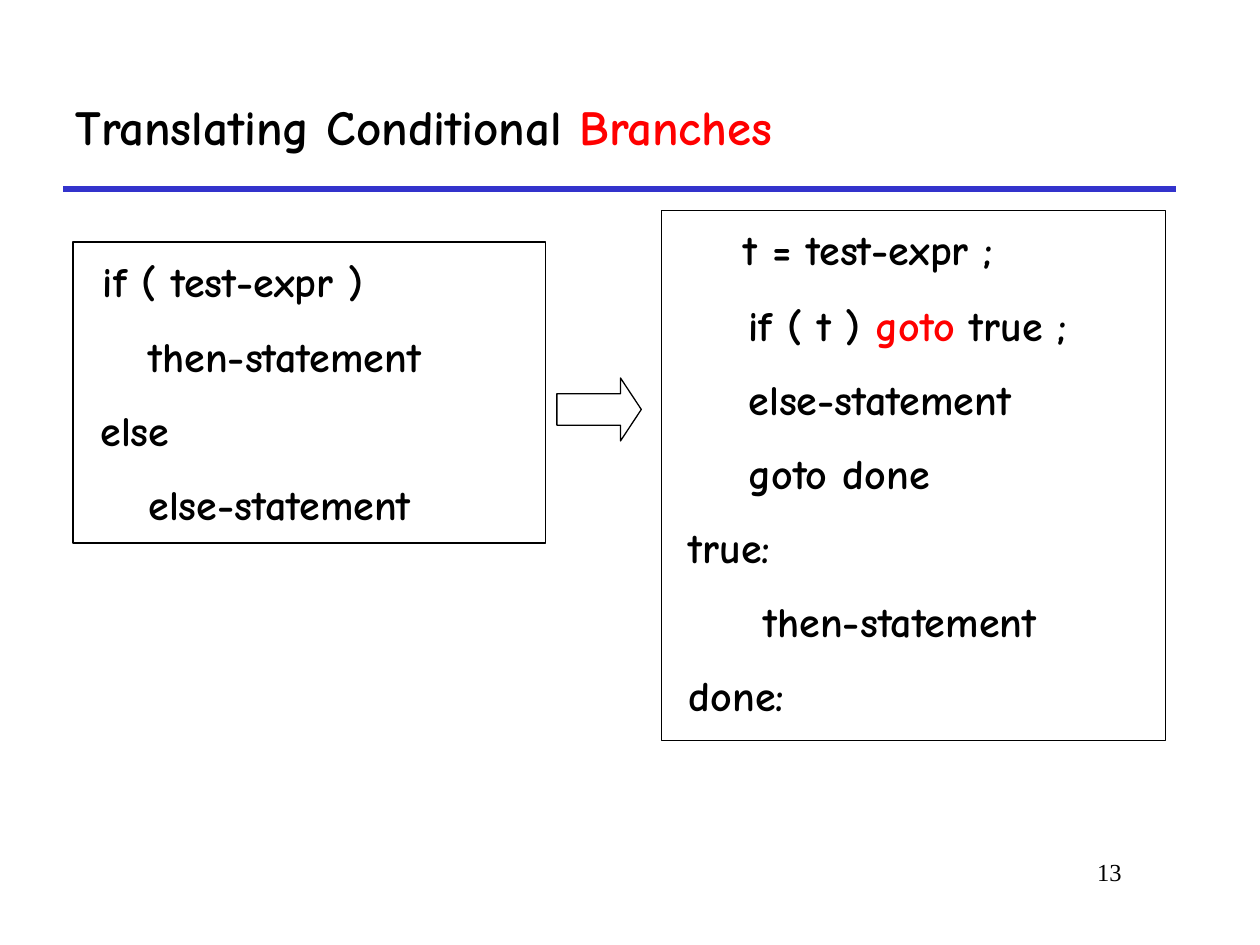
from lxml import etree
from pptx import Presentation
from pptx.dml.color import RGBColor
from pptx.enum import shapes, text
from pptx.oxml.ns import qn
from pptx.util import Inches, Pt

COLORS = {"text": "000000", "accent": "FF0000", "rule": "3333CC"}

# Each line is a list of (text, format) runs.
TITLE = [[("Translating Conditional ", {}), ("Branches", {"color": "accent"})]]
IF_ELSE = [
    [(" ", {"size": 28}), ("if ( test-expr )", {})],
    [("\tthen-statement", {})],
    [(" else", {})],
    [("\telse-statement", {})],
]
GOTO = [
    [("    ", {"size": 28}), ("t = test-expr ;", {})],
    [("     if ( t ) ", {}), ("goto", {"color": "accent"}), (" true ;", {})],
    [("     else-statement", {})],
    [("     goto done", {})],
    [(" true:", {})],
    [("      then-statement", {})],
    [(" done:", {})],
]
CODE_BOXES = [
    (IF_ELSE, (0.58, 1.92, 3.75, 2.39)),
    (GOTO, (5.25, 1.67, 4, 4.21)),
]
PAGE_NUMBER = [[("13", {})]]


def rgb(name):
    return RGBColor.from_string(COLORS[name])


def write(frame, lines, size=24, font="Comic Neue", bold=True, color="text",
          align=text.PP_ALIGN.LEFT, anchor=text.MSO_ANCHOR.TOP, gap=0):
    """Fill a text frame; a run's own format overrides the keywords."""
    frame.word_wrap = True
    frame.vertical_anchor = anchor
    for number, line in enumerate(lines):
        paragraph = frame.add_paragraph() if number else frame.paragraphs[0]
        paragraph.alignment = align
        paragraph.space_before = Pt(gap if number else 0)
        for words, style in line:
            run = paragraph.add_run()
            run.text = words
            run.font.name = font
            run.font.bold = bold
            run.font.size = Pt(style.get("size", size))
            run.font.color.rgb = rgb(style.get("color", color))


def add_outlined(slide, kind, box):
    outlined = slide.shapes.add_shape(kind, *map(Inches, box))
    outlined.shadow.inherit = False
    outlined.fill.background()
    outlined.line.color.rgb = rgb("text")
    outlined.line.width = Pt(0.75)
    return outlined


def main():
    deck = Presentation()
    deck.slide_width, deck.slide_height = Inches(10), Inches(7.5)
    slide = deck.slides.add_slide(deck.slide_layouts[5])

    rule = slide.shapes.add_connector(
        shapes.MSO_CONNECTOR.STRAIGHT,
        Inches(0.5), Inches(1.5), Inches(9.33), Inches(1.5))
    rule.line.color.rgb = rgb("rule")
    rule.line.width = Pt(3)
    etree.SubElement(rule._element.spPr, qn("a:effectLst"))

    title = slide.shapes.title
    title.left, title.top = Inches(0.5), Inches(0.5)
    title.width, title.height = Inches(8.83), Inches(1)
    write(title.text_frame, TITLE, size=28, anchor=text.MSO_ANCHOR.MIDDLE)

    for code, box in CODE_BOXES:
        panel = add_outlined(slide, shapes.MSO_SHAPE.RECTANGLE, box)
        write(panel.text_frame, code, gap=13.5)

    arrow = add_outlined(slide, shapes.MSO_SHAPE.RIGHT_ARROW, (4.42, 3, 0.67, 0.5))
    arrow.adjustments[0] = 0.5
    arrow.adjustments[1] = 0.33

    page = slide.shapes.add_textbox(
        Inches(7.58), Inches(6.75), Inches(1.42), Inches(0.5))
    write(page.text_frame, PAGE_NUMBER, size=14, font="Times New Roman",
          bold=False, align=text.PP_ALIGN.RIGHT)

    deck.save("out.pptx")


if __name__ == "__main__":
    main()
